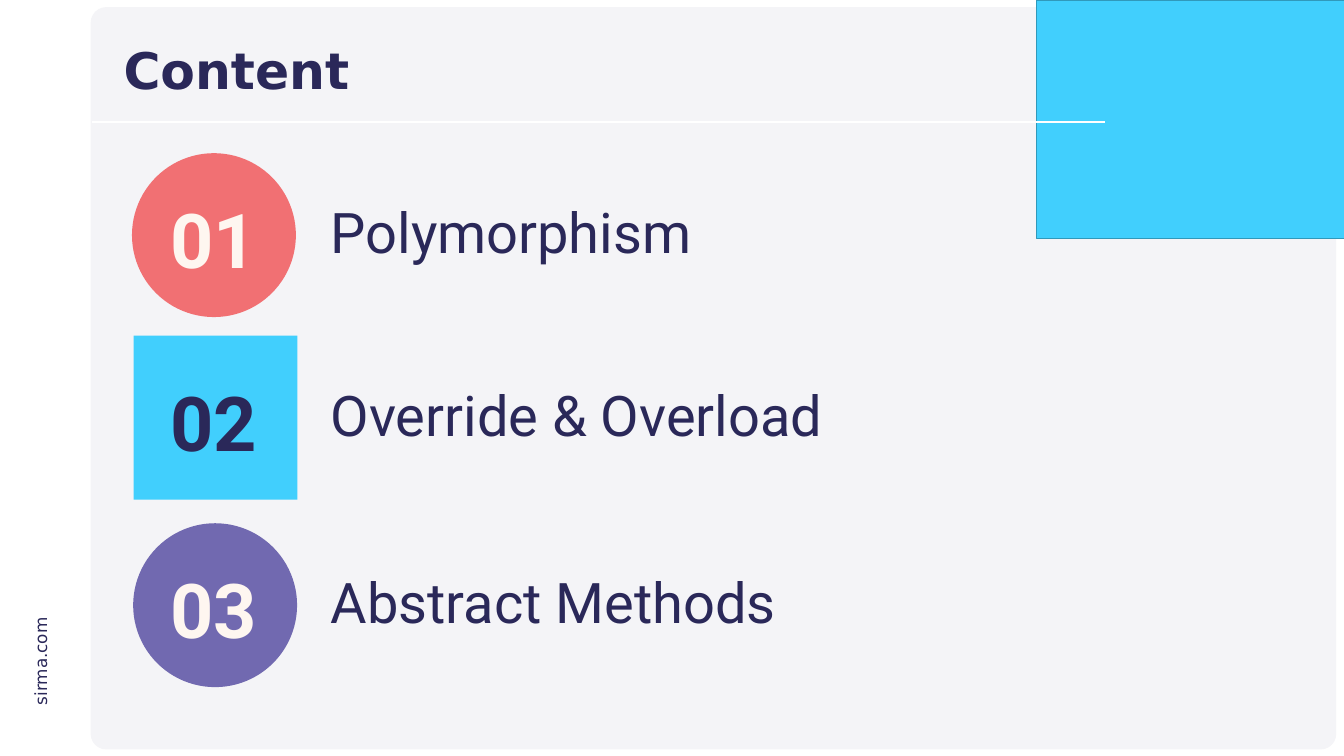
from pptx import Presentation
from pptx.dml.color import RGBColor
from pptx.enum import shapes, text
from pptx.util import Cm, Pt

COLORS = {
    "panel": "F4F4F7", "navy": "2A2859", "sky": "41CFFD", "sky edge": "3099BB",
    "white": "FFFFFF", "coral": "F17073", "violet": "7169B0", "cream": "FEF6F0",
}
TITLE_FONT, BODY_FONT = "DejaVu Sans", "Roboto"
SLIDE_WIDTH, SLIDE_HEIGHT = 67.72, 38.1
TITLE = "Content"
WEBSITE = "sirma.com"
OVAL, SQUARE = shapes.MSO_SHAPE.OVAL, shapes.MSO_SHAPE.RECTANGLE

# number, label, label width, badge shape, badge left and top, badge fill, number colour
TOPICS = [
    ("01", "Polymorphism", 31.37, OVAL, 6.65, 7.72, "coral", "cream"),
    ("02", "Override & Overload", 39.29, SQUARE, 6.73, 16.92, "sky", "navy"),
    ("03", "Abstract Methods", 37.52, OVAL, 6.71, 26.37, "violet", "cream"),
]
BADGE_SIZE = 8.26
NUMBER_LEFT, NUMBER_WIDTH, NUMBER_HEIGHT, NUMBER_DROP = 6.05, 9.45, 4.88, 1.83
LABEL_LEFT, LABEL_HEIGHT, LABEL_DROP = 16.41, 3.68, 2.13


def color(name):
    return RGBColor.from_string(COLORS[name])


def add_block(slide, kind, left, top, width, height, fill, edge=None):
    shape = slide.shapes.add_shape(kind, Cm(left), Cm(top), Cm(width), Cm(height))
    shape.shadow.inherit = False
    shape.fill.solid()
    shape.fill.fore_color.rgb = color(fill)
    if edge:
        shape.line.color.rgb = color(edge)
        shape.line.width = Pt(1)
    else:
        shape.line.fill.background()
    return shape


def add_run(paragraph, words, size, font_name, font_color, bold=False):
    run = paragraph.add_run()
    run.text = words
    run.font.size = Pt(size)
    run.font.name = font_name
    run.font.bold = bold
    run.font.color.rgb = color(font_color)


def add_text(slide, left, top, width, height, words, size, font_name, font_color,
             bold=False, align=text.PP_ALIGN.LEFT, anchor=text.MSO_ANCHOR.TOP, wrap=True):
    box = slide.shapes.add_textbox(Cm(left), Cm(top), Cm(width), Cm(height))
    frame = box.text_frame
    frame.word_wrap = wrap
    frame.auto_size = text.MSO_AUTO_SIZE.SHAPE_TO_FIT_TEXT
    frame.vertical_anchor = anchor
    paragraph = frame.paragraphs[0]
    paragraph.alignment = align
    add_run(paragraph, words, size, font_name, font_color, bold)
    return box


def add_backdrop(slide):
    panel = add_block(slide, shapes.MSO_SHAPE.ROUNDED_RECTANGLE,
                      4.57, 0.36, 62.76, 37.41, "panel")
    panel.adjustments[0] = 0.021
    website = add_text(slide, -0.46, 32.66, 5, 1.27, WEBSITE, 24, TITLE_FONT, "navy", wrap=False)
    website.rotation = 270
    add_block(slide, SQUARE, 52.22, 0, SLIDE_WIDTH - 52.22, 12.01, "sky", "sky edge")
    add_block(slide, SQUARE, 4.65, 1.35, 46.58, 6.05, "panel")
    rule = slide.shapes.add_connector(shapes.MSO_CONNECTOR.STRAIGHT,
                                      Cm(4.65), Cm(6.17), Cm(55.7), Cm(6.17))
    rule.line.color.rgb = color("white")
    rule.line.width = Pt(3)
    properties = rule._element.spPr
    properties.append(properties.makeelement(
        "{http://schemas.openxmlformats.org/drawingml/2006/main}effectLst", {}))


def format_title(slide):
    title = slide.shapes.title
    title.left, title.top, title.width, title.height = Cm(5.97), Cm(1.68), Cm(49.71), Cm(4.01)
    frame = title.text_frame
    frame.word_wrap = True
    frame.auto_size = text.MSO_AUTO_SIZE.NONE
    frame.vertical_anchor = text.MSO_ANCHOR.MIDDLE
    paragraph = frame.paragraphs[0]
    paragraph.alignment = text.PP_ALIGN.LEFT
    paragraph.line_spacing = 0.9
    add_run(paragraph, TITLE, 72, TITLE_FONT, "navy", bold=True)
    # The title must stand in front of the header band
    slide.shapes._spTree.append(title._element)


def add_topics(slide):
    for number, label, label_width, kind, left, top, fill, number_color in TOPICS:
        add_block(slide, kind, left, top, BADGE_SIZE, BADGE_SIZE, fill)
        add_text(slide, NUMBER_LEFT, top + NUMBER_DROP, NUMBER_WIDTH, NUMBER_HEIGHT,
                 number, 108, BODY_FONT, number_color, bold=True,
                 align=text.PP_ALIGN.CENTER, anchor=text.MSO_ANCHOR.BOTTOM)
        add_text(slide, LABEL_LEFT, top + LABEL_DROP, label_width, LABEL_HEIGHT,
                 label, 80, BODY_FONT, "navy")


def main():
    presentation = Presentation()
    presentation.slide_width, presentation.slide_height = Cm(SLIDE_WIDTH), Cm(SLIDE_HEIGHT)
    slide = presentation.slides.add_slide(presentation.slide_layouts.get_by_name("Title Only"))
    add_backdrop(slide)
    format_title(slide)
    add_topics(slide)
    presentation.save("out.pptx")


if __name__ == "__main__":
    main()
